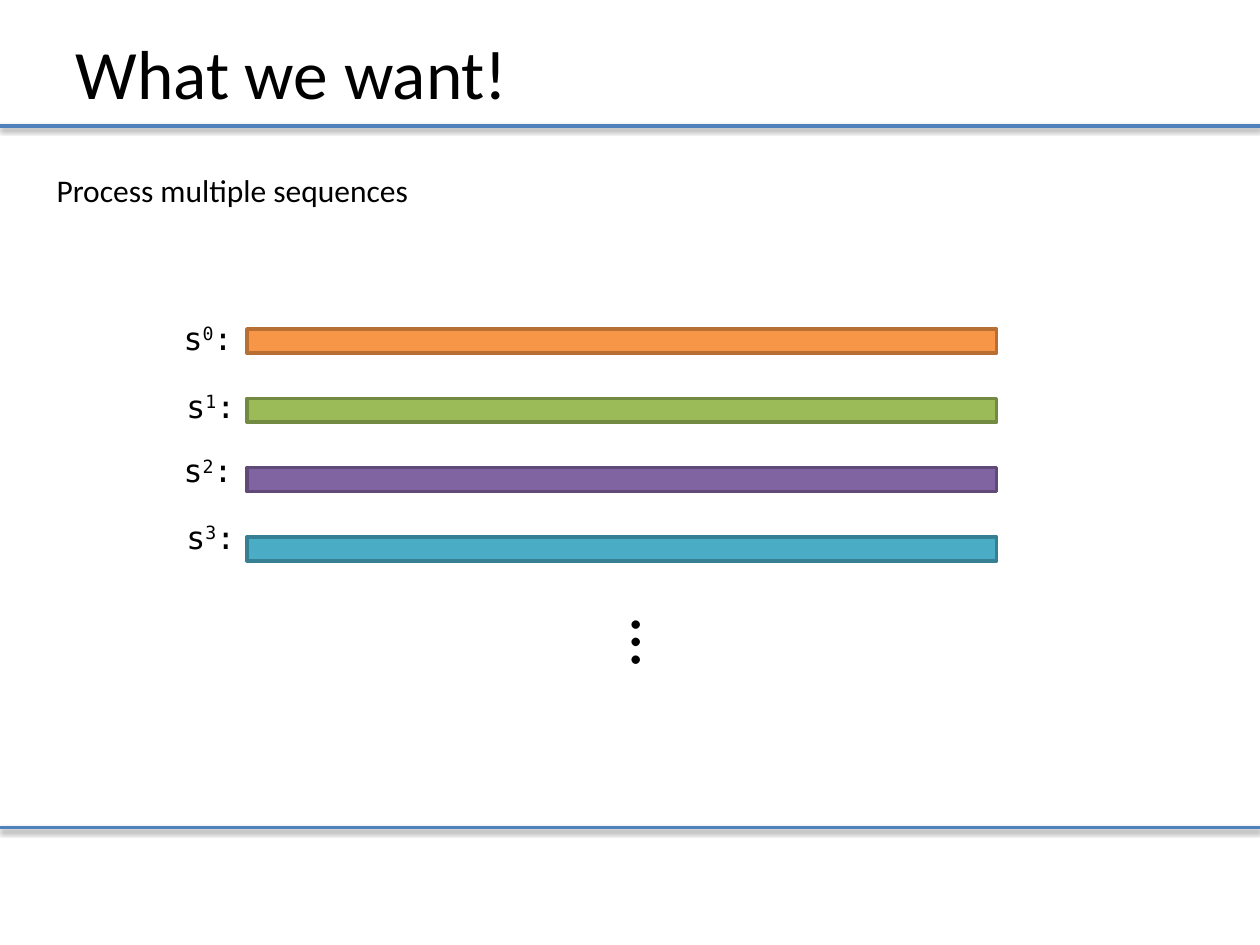
"""Build a slide that shows several sequences as coloured bars."""
from dataclasses import dataclass

from lxml import etree
from pptx import Presentation
from pptx.dml.color import RGBColor
from pptx.enum.shapes import MSO_CONNECTOR, MSO_SHAPE
from pptx.enum.text import MSO_ANCHOR, MSO_AUTO_SIZE, PP_ALIGN
from pptx.oxml.ns import qn
from pptx.util import Pt

STRAIGHT = MSO_CONNECTOR.STRAIGHT
RECT = MSO_SHAPE.RECTANGLE
MIDDLE = MSO_ANCHOR.MIDDLE
GROW = MSO_AUTO_SIZE.SHAPE_TO_FIT_TEXT
LEFT = PP_ALIGN.LEFT

SANS, MONO = "Calibri", "DejaVu Sans Mono"
WIDTH, HEIGHT = 720, 540
BAR_LEFT, BAR_TOP, BAR_WIDTH, BAR_HEIGHT = 141.1, 188, 428.4, 13.7
BAR_PITCH = 39.6


@dataclass
class Sequence:
    index: str
    fill: str
    line: str
    label_left: float
    label_top: float


SEQUENCES = [
    Sequence("0", "F79646", "B76F34", 97.9, 178.6),
    Sequence("1", "9BBB59", "738A42", 99.4, 217.4),
    Sequence("2", "8064A2", "5F4A78", 97.9, 254.2),
    Sequence("3", "4BACC6", "377F92", 99.4, 292.3),
]


def rgb(value: str) -> RGBColor:
    return RGBColor.from_string(value)


def add_run(p, text: str, size: float, font: str = SANS):
    r = p.add_run()
    r.text = text
    r.font.size = Pt(size)
    r.font.name = font
    r.font.color.rgb = rgb("000000")
    return r


def add_box(s, left: float, top: float, width: float, height: float):
    sp = s.shapes.add_textbox(Pt(left), Pt(top), Pt(width), Pt(height))
    tf = sp.text_frame
    tf.word_wrap = True
    tf.auto_size = GROW
    return tf


def add_rule(s, y: float) -> None:
    sp = s.shapes.add_connector(STRAIGHT, Pt(0), Pt(y), Pt(WIDTH), Pt(y))
    sp.line.color.rgb = rgb("4F81BD")
    sp.line.width = Pt(2)
    effects = etree.SubElement(sp._element.spPr, qn("a:effectLst"))
    shadow = etree.SubElement(
        effects, qn("a:outerShdw"), blurRad=str(Pt(3.1)), dist=str(Pt(1.6)),
        dir="5400000", rotWithShape="0")
    color = etree.SubElement(shadow, qn("a:srgbClr"), val="000000")
    etree.SubElement(color, qn("a:alpha"), val="38000")


def add_title(s, text: str) -> None:
    sp = s.shapes.title
    sp.left, sp.top, sp.width, sp.height = Pt(36), Pt(12.2), Pt(648), Pt(57.6)
    tf = sp.text_frame
    tf.vertical_anchor = MIDDLE
    p = tf.paragraphs[0]
    p.alignment = LEFT
    add_run(p, text, 39.6)


def add_bar(s, seq: Sequence, top: float) -> None:
    sp = s.shapes.add_shape(
        RECT, Pt(BAR_LEFT), Pt(top), Pt(BAR_WIDTH), Pt(BAR_HEIGHT))
    sp.shadow.inherit = False
    sp.fill.solid()
    sp.fill.fore_color.rgb = rgb(seq.fill)
    sp.line.color.rgb = rgb(seq.line)
    sp.line.width = Pt(2)


def add_label(s, seq: Sequence) -> None:
    p = add_box(s, seq.label_left, seq.label_top, 55.4, 29).paragraphs[0]
    add_run(p, "s", 18, MONO)
    r = add_run(p, seq.index, 18, MONO)
    r.font._element.set("baseline", "30000")
    add_run(p, ":", 18, MONO)


def main() -> None:
    prs = Presentation()
    prs.slide_width, prs.slide_height = Pt(WIDTH), Pt(HEIGHT)
    s = prs.slides.add_slide(prs.slide_layouts[5])
    for y in (72, 473):
        add_rule(s, y)
    add_title(s, "What we want!")
    tf = add_box(s, 25.2, 94.3, 222.5, 29)
    add_run(tf.paragraphs[0], "Process multiple sequences", 18)
    for i, seq in enumerate(SEQUENCES):
        add_bar(s, seq, BAR_TOP + i * BAR_PITCH)
        add_label(s, seq)
    tf = add_box(s, 341.3, 346.3, 63.4, 29)
    tf._txBody.bodyPr.set("vert", "vert")
    add_run(tf.paragraphs[0], "…", 40)
    prs.save("out.pptx")


if __name__ == "__main__":
    main()
